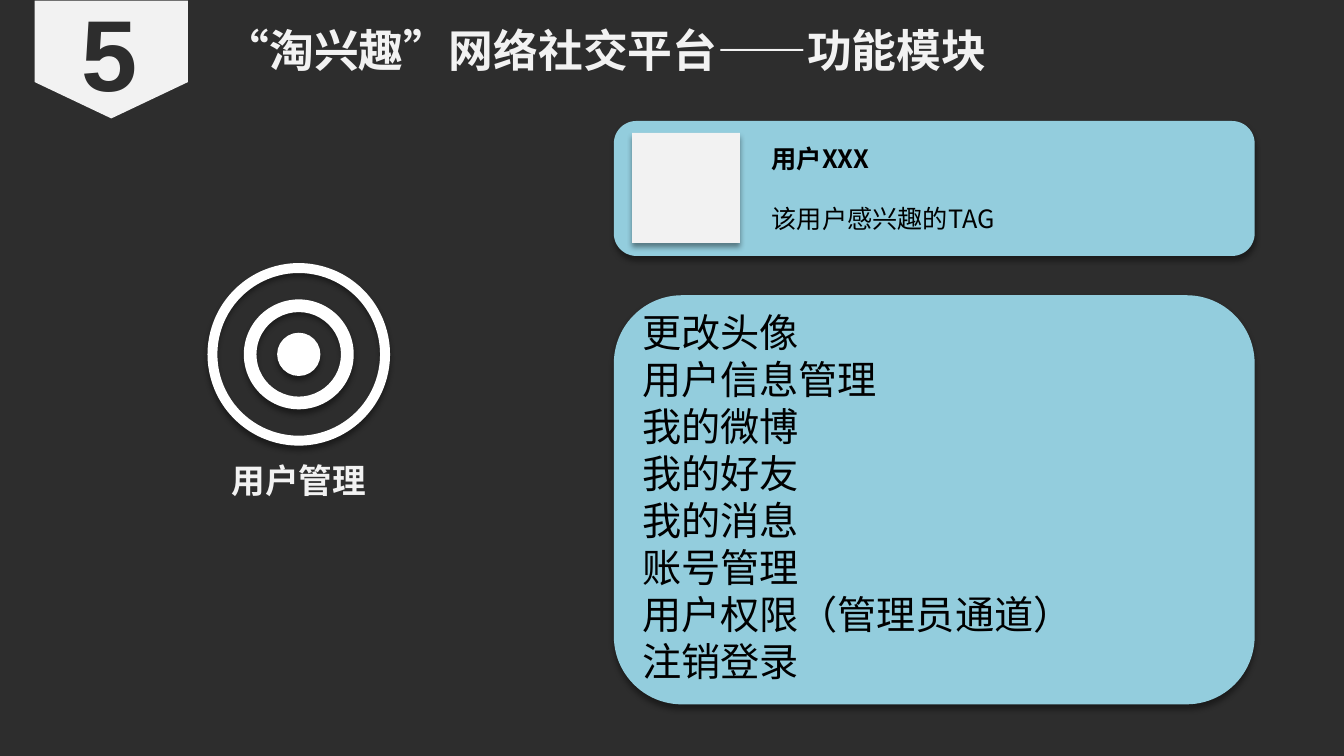
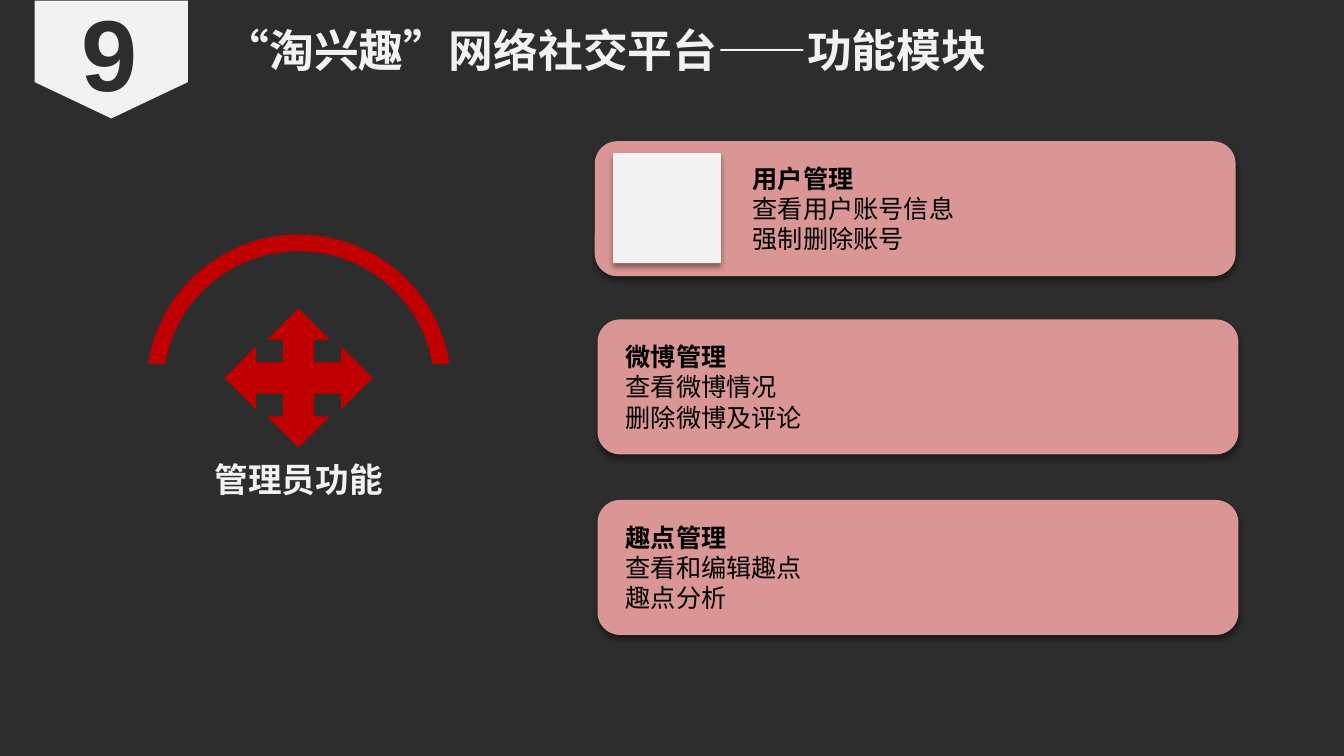
from math import asin, cos, pi, sin
from lxml.etree import SubElement
from pptx import Presentation
from pptx.dml.color import RGBColor
from pptx.enum.shapes import MSO_SHAPE
from pptx.enum.text import PP_ALIGN
from pptx.oxml.ns import qn
from pptx.util import Cm, Pt

TITLE = "“淘兴趣”网络社交平台——功能模块"
USER = {
    "number": "5",
    "caption": "用户管理",
    "caption_top": 11.46,
    "color": "blue",
    "cards": [(15.47, 3.05, True, ["用户XXX", "该用户感兴趣的TAG"], 21.6)],
}
ADMIN = {
    "number": "9",
    "caption": "管理员功能",
    "caption_top": 11.43,
    "color": "pink",
    "cards": [
        (14.99, 3.56, True, ["用户管理", "查看用户账号信息", "强制删除账号"], 0),
        (15.06, 8.05, False, ["微博管理", "查看微博情况", "删除微博及评论"], 0),
        (15.06, 12.6, False, ["趣点管理", "查看和编辑趣点", "趣点分析"], 0),
    ],
}
USER_MENU = ["更改头像", "用户信息管理", "我的微博", "我的好友", "我的消息",
             "账号管理", "用户权限（管理员通道）", "注销登录"]

COLORS = {"dark": "2D2D2D", "light": "F2F2F2", "white": "FFFFFF", "black": "000000",
          "blue": "93CDDD", "pink": "D99694", "red": "C00000"}
CJK, LATIN = "Noto Sans CJK SC", "Arial"
LINE_RATIO = 1.2
CARD_WIDTH, CARD_HEIGHT = 16.15, 3.4
ICON_X = 7.53
TARGET_Y = 8.93
TARGET_RINGS = [(4.6, 0.25), (2.77, 0.32)]
TARGET_DOT = 1.09
ARC_Y, ARC_OUTER, ARC_INNER, ARC_CUT = 9.75, 3.84, 3.42, 0.58


def rgb(name):
    return RGBColor.from_string(COLORS[name])


def paint(shape, color, shadow=False):
    shape.fill.solid()
    shape.fill.fore_color.rgb = rgb(color)
    shape.line.fill.background()
    shape.shadow.inherit = False
    if shadow:
        effects = shape._element.spPr.find(qn("a:effectLst"))
        outer = SubElement(effects, qn("a:outerShdw"), blurRad=str(Pt(4)), dist=str(Pt(3)),
                           dir="5400000", rotWithShape="0")
        tone = SubElement(outer, qn("a:srgbClr"), val=COLORS["black"])
        SubElement(tone, qn("a:alpha"), val="40000")
    return shape


def add_shape(page, kind, place, color, shadow=False, adjust=None):
    shape = page.shapes.add_shape(kind, *map(Cm, place))
    if adjust is not None:
        shape.adjustments[0] = adjust
    return paint(shape, color, shadow)


def add_text(page, place, lines, size, color, bold_lines=0, font=CJK,
             align=PP_ALIGN.LEFT, wrap=True, gap=0):
    box = page.shapes.add_textbox(*map(Cm, place))
    frame = box.text_frame
    frame.word_wrap = wrap
    for index, line in enumerate(lines):
        para = frame.paragraphs[0] if index == 0 else frame.add_paragraph()
        para.alignment = align
        if font == CJK:
            para.line_spacing = Pt(size * LINE_RATIO)
        if index and gap:
            para.space_before = Pt(gap)
        span = para.add_run()
        span.text = line
        values = {"size": Pt(size), "name": font, "bold": index < bold_lines}
        for name, value in values.items():
            setattr(span.font, name, value)
        span.font.color.rgb = rgb(color)
        SubElement(span.font._element, qn("a:ea"), typeface=font)


def add_card(page, color, left, top, avatar, lines, gap):
    add_shape(page, MSO_SHAPE.ROUNDED_RECTANGLE, (left, top, CARD_WIDTH, CARD_HEIGHT),
              color, True)
    if avatar:
        add_shape(page, MSO_SHAPE.RECTANGLE, (left + 0.46, top + 0.3, 2.72, 2.77),
                  "light", True)
    indent = 3.73 if avatar else 0.46
    add_text(page, (left + indent, top + 0.43, 11.43, 2.57), lines, 18, "black", 1, gap=gap)


def add_page(deck, content):
    page = deck.slides.add_slide(deck.slide_layouts[6])
    page.background.fill.solid()
    page.background.fill.fore_color.rgb = rgb("dark")
    badge = add_shape(page, MSO_SHAPE.PENTAGON, (1.32, -0.43, 2.97, 3.86), "light", adjust=0.308)
    badge.rotation = 90
    add_text(page, (5.41, 0.46, 25.78, 1.63), [TITLE], 32, "light", 1)
    add_text(page, (1.8, -0.36, 1.93, 3.33), [content["number"]], 72, "dark", 1, LATIN,
             PP_ALIGN.CENTER, False)
    width = len(content["caption"]) * 0.85 + 0.5
    add_text(page, (ICON_X - width / 2, content["caption_top"], width, 1.27),
             [content["caption"]], 24, "light", 1, align=PP_ALIGN.CENTER, wrap=False)
    for card in content["cards"]:
        add_card(page, content["color"], *card)
    return page


def add_target(page):
    def square(size):
        return ICON_X - size / 2, TARGET_Y - size / 2, size, size

    for size, band in TARGET_RINGS:
        add_shape(page, MSO_SHAPE.DONUT, square(size), "white", True, band / size)
    add_shape(page, MSO_SHAPE.OVAL, square(TARGET_DOT), "white", True)


def add_arch(page, steps=48):
    def curve(radius):
        start = asin(ARC_CUT / radius)
        angles = [start + (pi - 2 * start) * step / steps for step in range(steps + 1)]
        return [(Cm(ICON_X - radius * cos(angle)), Cm(ARC_Y - radius * sin(angle)))
                for angle in angles]

    points = curve(ARC_OUTER) + curve(ARC_INNER)[::-1]
    builder = page.shapes.build_freeform(*points[0])
    builder.add_line_segments(points[1:], close=True)
    paint(builder.convert_to_shape(), "red")


deck = Presentation()
deck.slide_width, deck.slide_height = Cm(33.87), Cm(19.05)

user_page = add_page(deck, USER)
add_target(user_page)
add_shape(user_page, MSO_SHAPE.ROUNDED_RECTANGLE, (15.47, 7.44, CARD_WIDTH, 10.31), "blue", True)
add_text(user_page, (15.93, 7.65, 15.09, 9.83), USER_MENU, 28, "black")

admin_page = add_page(deck, ADMIN)
add_arch(admin_page)
add_shape(admin_page, MSO_SHAPE.QUAD_ARROW, (5.66, 7.77, 3.73, 3.51), "red")

deck.save("out.pptx")
